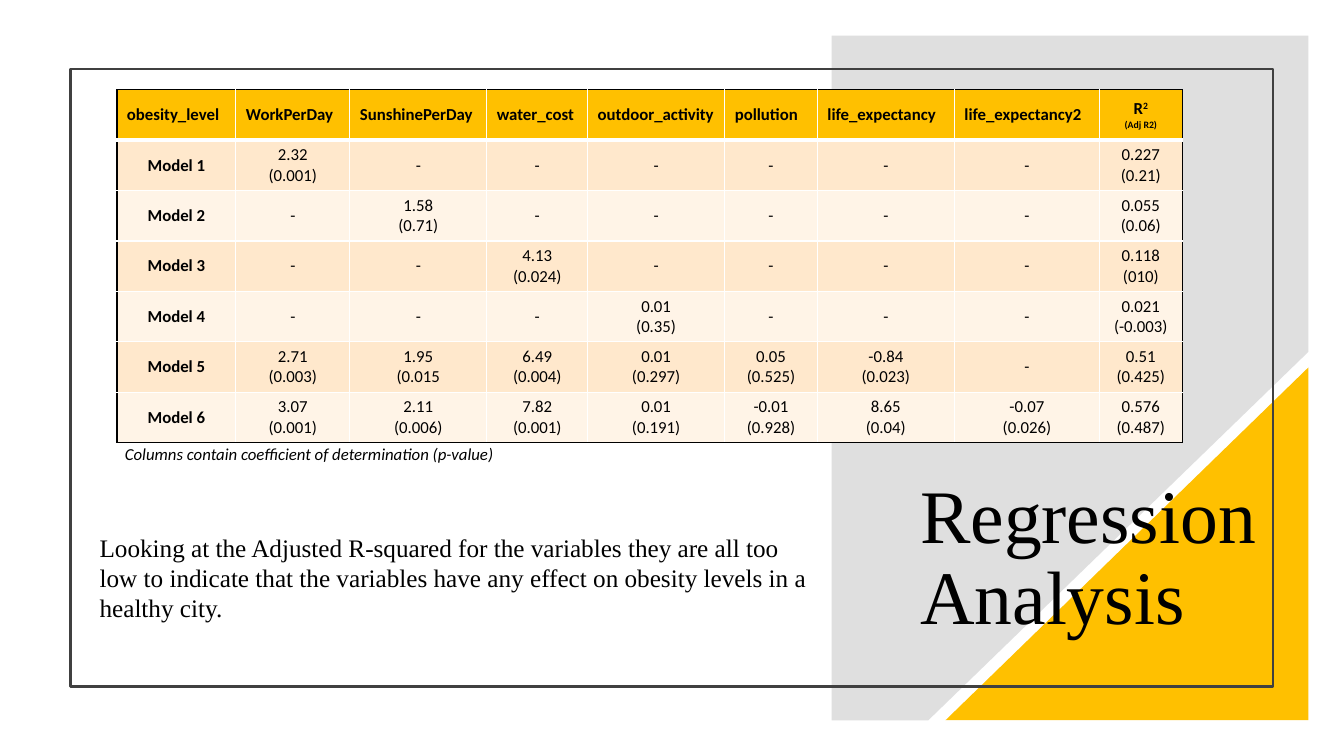
from lxml import etree
from pptx import Presentation
from pptx.dml.color import RGBColor
from pptx.enum.shapes import MSO_SHAPE
from pptx.enum.text import MSO_ANCHOR, PP_ALIGN
from pptx.oxml.ns import qn
from pptx.util import Pt

RECTANGLE, TRIANGLE = MSO_SHAPE.RECTANGLE, MSO_SHAPE.RIGHT_TRIANGLE
TOP, MIDDLE = MSO_ANCHOR.TOP, MSO_ANCHOR.MIDDLE
LEFT, CENTER = PP_ALIGN.LEFT, PP_ALIGN.CENTER

BLACK = RGBColor(0x00, 0x00, 0x00)
WHITE = RGBColor(0xFF, 0xFF, 0xFF)
GRAY = RGBColor(0x80, 0x80, 0x80)
DARK_GRAY = RGBColor(0x40, 0x40, 0x40)
AMBER = RGBColor(0xFF, 0xC0, 0x00)
BANDS = [RGBColor(0xFF, 0xF4, 0xE7), RGBColor(0xFF, 0xE8, 0xCC)]

SERIF = {"name": "Times New Roman"}
SANS = {"name": "Calibri", "size": Pt(12)}

HEADERS = ["obesity_level", "WorkPerDay", "SunshinePerDay", "water_cost", "outdoor_activity",
           "pollution", "life_expectancy", "life_expectancy2", "R2\n(Adj R2)"]
COLUMN_WIDTHS = [85, 81.4, 97.9, 72, 97.9, 66.2, 97.9, 103.7, 59]
ROW_HEIGHT = 36
MODELS = [
    ["2.32\n(0.001)", "-", "-", "-", "-", "-", "-", "0.227\n(0.21)"],
    ["-", "1.58\n(0.71)", "-", "-", "-", "-", "-", "0.055\n(0.06)"],
    ["-", "-", "4.13\n(0.024)", "-", "-", "-", "-", "0.118\n(010)"],
    ["-", "-", "-", "0.01\n(0.35)", "-", "-", "-", "0.021\n(-0.003)"],
    ["2.71\n(0.003)", "1.95\n(0.015", "6.49\n(0.004)", "0.01\n(0.297)", "0.05\n(0.525)",
     "-0.84\n(0.023)", "-", "0.51\n(0.425)"],
    ["3.07\n(0.001)", "2.11\n(0.006)", "7.82\n(0.001)", "0.01\n(0.191)", "-0.01\n(0.928)",
     "8.65\n(0.04)", "-0.07\n(0.026)", "0.576\n(0.487)"],
]
TEXT_BOXES = [
    ("Regression Analysis", (650.2, 265.7, 257, 267.8), MIDDLE, True,
     {"line_spacing": 0.9, "space_after": Pt(6)}, SERIF | {"size": Pt(54)}),
    ("Looking at the Adjusted R-squared for the variables they are all too low to indicate "
     "that the variables have any effect on obesity levels in a healthy city.",
     (64.1, 376.6, 521.3, 72.7), TOP, True, {"space_after": Pt(6)}, SERIF | {"size": Pt(18)}),
    ("Columns contain coefficient of determination (p-value)", (82.1, 313.2, 283.7, 21.6),
     TOP, False, {}, SANS | {"italic": True}),
]


def write(text_frame, text, paragraph_format, font_format):
    text_frame.text = text
    for paragraph in text_frame.paragraphs:
        for name, value in paragraph_format.items():
            setattr(paragraph, name, value)
        for run in paragraph.runs:
            for name, value in font_format.items():
                setattr(run.font, name, value)
            run.font.color.rgb = BLACK


def add_border(cell, side, color, width):
    """Draw one side of a cell; the sides must come in the order L, R, T, B, before the fill."""
    properties = cell._tc.get_or_add_tcPr()
    line = etree.SubElement(properties, qn(f"a:ln{side}"), w=str(Pt(width)))
    fill = etree.SubElement(line, qn("a:solidFill"))
    etree.SubElement(fill, qn("a:srgbClr"), val=str(color))


presentation = Presentation()
presentation.slide_width = Pt(960)
presentation.slide_height = Pt(540)
slide = presentation.slides.add_slide(presentation.slide_layouts[6])
shapes = slide.shapes

# Background panel, corner triangle and frame
outline = [(594, 25.5), (934.6, 25.5), (934.6, 251.3), (663.1, 514.5), (594, 514.5)]
points = [(Pt(x), Pt(y)) for x, y in outline]
builder = shapes.build_freeform(*points[0])
builder.add_line_segments(points[1:], close=True)
panel = builder.convert_to_shape()
triangle = shapes.add_shape(TRIANGLE, Pt(675.4), Pt(262.5), Pt(259.2), Pt(252))
triangle._element.spPr.xfrm.set("flipH", "1")
for shape, color in ((panel, GRAY), (triangle, AMBER)):
    shape.shadow.inherit = False
    shape.fill.solid()
    shape.fill.fore_color.rgb = color
    shape.line.fill.background()
panel_color = panel._element.spPr.find(qn("a:solidFill"))[0]
etree.SubElement(panel_color, qn("a:alpha"), val="25000")

frame = shapes.add_shape(RECTANGLE, Pt(50.4), Pt(49), Pt(859), Pt(441.4))
frame.shadow.inherit = False
frame.fill.background()
frame.line.color.rgb = DARK_GRAY
frame.line.width = Pt(1.5)

# Title, conclusion and table note
for text, box, anchor, wrap, paragraph_format, font_format in TEXT_BOXES:
    text_frame = shapes.add_textbox(*map(Pt, box)).text_frame
    text_frame.word_wrap = wrap
    text_frame.vertical_anchor = anchor
    write(text_frame, text, paragraph_format, font_format)

# Regression table
rows = [HEADERS] + [[f"Model {number}", *values] for number, values in enumerate(MODELS, 1)]
last_row, last_column = len(rows) - 1, len(HEADERS) - 1
table = shapes.add_table(len(rows), len(HEADERS), Pt(83.5), Pt(64.1),
                         Pt(sum(COLUMN_WIDTHS)), Pt(ROW_HEIGHT * len(rows))).table
table.first_row = table.horz_banding = False
for column, width in zip(table.columns, COLUMN_WIDTHS):
    column.width = Pt(width)
for row_index, values in enumerate(rows):
    table.rows[row_index].height = Pt(ROW_HEIGHT)
    is_header = row_index == 0
    for column_index, value in enumerate(values):
        cell = table.cell(row_index, column_index)
        cell.vertical_anchor = MIDDLE
        cell.margin_top = cell.margin_bottom = Pt(3)
        alignment = LEFT if is_header and column_index < last_column else CENTER
        write(cell.text_frame, value, {"alignment": alignment},
              SANS | {"bold": is_header or column_index == 0})
        edges = {"L": column_index == 0, "R": column_index == last_column,
                 "T": is_header, "B": row_index == last_row}
        for side, is_outer in edges.items():
            header_rule = (is_header and side == "B") or (row_index == 1 and side == "T")
            add_border(cell, side, BLACK if is_outer else WHITE, 3 if header_rule else 1)
        cell.fill.solid()
        cell.fill.fore_color.rgb = AMBER if is_header else BANDS[row_index % 2]

# R² heading: raised 2 and a small second line
r_squared, adjusted = table.cell(0, last_column).text_frame.paragraphs
r_squared.runs[0].text = "R"
exponent = r_squared.add_run()
exponent.text = "2"
for name, value in (SANS | {"bold": True}).items():
    setattr(exponent.font, name, value)
exponent.font.color.rgb = BLACK
exponent.font._element.set("baseline", "30000")
adjusted.runs[0].font.size = Pt(7)

presentation.save("out.pptx")
